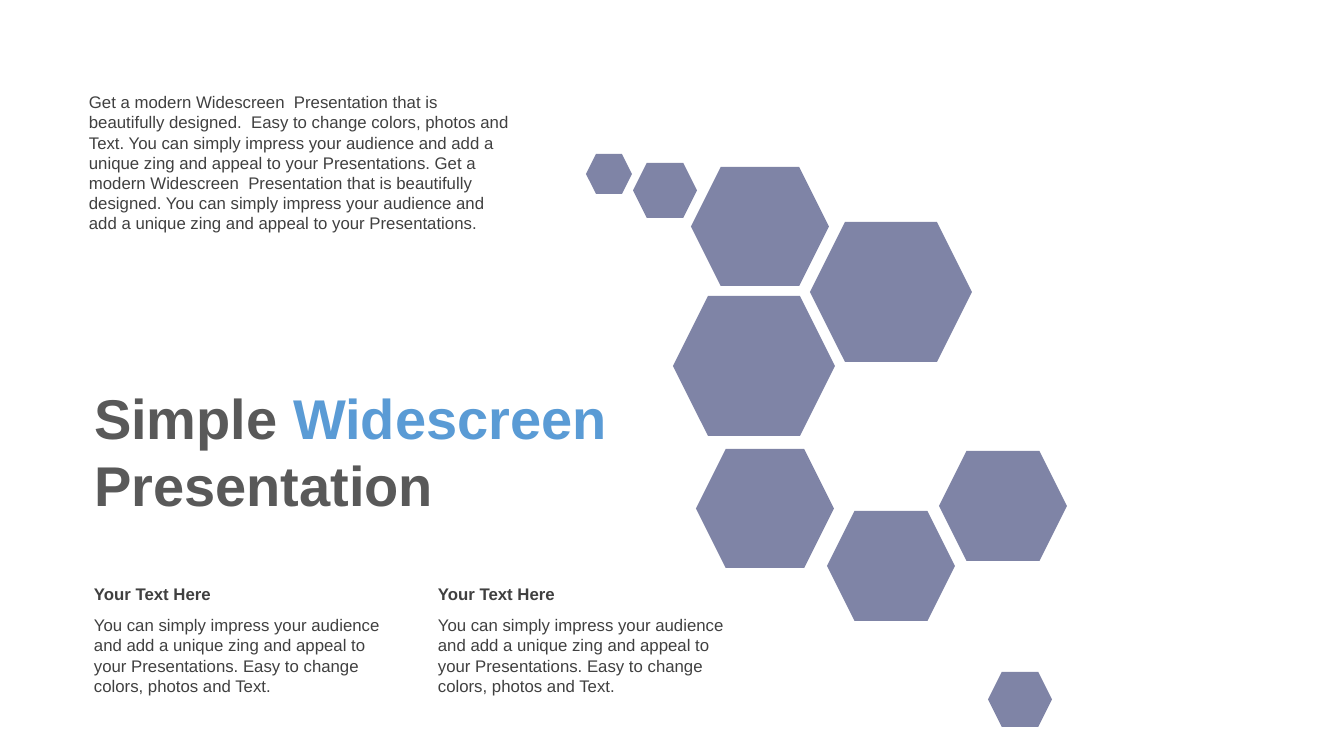
"""Build a cover slide with a title, an introduction, two captions and a hexagon cluster."""
from lxml.etree import SubElement
from pptx import Presentation
from pptx.dml.color import RGBColor
from pptx.enum.shapes import MSO_SHAPE
from pptx.enum.text import MSO_ANCHOR, MSO_AUTO_SIZE, PP_ALIGN
from pptx.oxml.ns import qn
from pptx.util import Pt

PX = 12192000 / 1344
NAVY = RGBColor(0x01, 0x0A, 0x4F)
BLUE = RGBColor(0x5A, 0x9B, 0xD5)
TITLE_GRAY = RGBColor(0x59, 0x59, 0x59)
TEXT_GRAY = RGBColor(0x40, 0x40, 0x40)
FONT = "Arial"

TITLE_RUNS = [("Simple ", TITLE_GRAY), ("Widescreen ", BLUE), ("Presentation", TITLE_GRAY)]
INTRO = (
    "Get a modern Widescreen  Presentation that is beautifully designed.  "
    "Easy to change colors, photos and Text. You can simply impress your audience "
    "and add a unique zing and appeal to your Presentations. "
    "Get a modern Widescreen  Presentation that is beautifully designed. "
    "You can simply impress your audience and add a unique zing and appeal "
    "to your Presentations."
)
CAPTION_HEAD = "Your Text Here"
CAPTION_BODY = (
    "You can simply impress your audience and add a unique zing and appeal "
    "to your Presentations. Easy to change colors, photos and Text."
)
TINY, SMALL, MEDIUM, LARGE, HUGE = (46, 40), (64, 55), (128, 110), (138, 119), (162, 140)
HEXAGONS = [
    (110, 295, LARGE), (224, 68, HUGE), (87, 142, HUGE),
    (353, 297, MEDIUM), (241, 357, MEDIUM), (402, 518, SMALL),
    (105, 13, LARGE), (47, 9, SMALL), (0, 0, TINY),
]


def emu(*lengths):
    """Turn pixel lengths into EMU."""
    return [round(length * PX) for length in lengths]


def write(frame, runs, size, bold=False):
    """Fill a text frame with one left-aligned paragraph of coloured runs."""
    frame.word_wrap = True
    frame.auto_size = MSO_AUTO_SIZE.NONE
    frame.vertical_anchor = MSO_ANCHOR.TOP
    para = frame.paragraphs[0]
    para.alignment = PP_ALIGN.LEFT
    para.line_spacing = 1.0
    for text, color in runs:
        span = para.add_run()
        span.text = text
        span.font.name = FONT
        span.font.size = Pt(size)
        span.font.bold = bold
        span.font.color.rgb = color


def add_title(page, box):
    """Place the two-coloured title in the title placeholder."""
    title = page.shapes.title
    title.left, title.top, title.width, title.height = emu(*box)
    write(title.text_frame, TITLE_RUNS, 40, bold=True)


def add_text(shapes, box, text, bold=False):
    """Add a text box in the small gray text style."""
    write(shapes.add_textbox(*emu(*box)).text_frame, [(text, TEXT_GRAY)], 12, bold)


def add_caption(page, box):
    """Add a bold heading with its paragraph below."""
    left, top, width, height = box
    head_height = 31
    shapes = page.shapes.add_group_shape().shapes
    add_text(shapes, (left, top, width, head_height), CAPTION_HEAD, bold=True)
    add_text(shapes, (left, top + head_height, width, height - head_height), CAPTION_BODY)


def add_hexagons(page, left, top):
    """Add the cluster of half-transparent hexagons from its top left corner."""
    shapes = page.shapes.add_group_shape().shapes
    for across, down, size in HEXAGONS:
        hexagon = shapes.add_shape(MSO_SHAPE.HEXAGON, *emu(left + across, top + down, *size))
        hexagon.shadow.inherit = False
        hexagon.fill.solid()
        hexagon.fill.fore_color.rgb = NAVY
        hexagon.line.fill.background()
        color = hexagon.fill._xPr.find(qn("a:solidFill"))[0]
        SubElement(color, qn("a:alpha"), val="50000")


def main():
    """Build and save the deck."""
    deck = Presentation()
    deck.slide_width, deck.slide_height = emu(1344, 756)
    page = deck.slides.add_slide(deck.slide_layouts.get_by_name("Title Only"))
    for left in (84, 428):
        add_caption(page, (left, 579, 318, 123))
    add_hexagons(page, 586, 154)
    add_title(page, (84, 378, 535, 146))
    add_text(page.shapes, (79, 87, 445, 152), INTRO)
    deck.save("out.pptx")


if __name__ == "__main__":
    main()
